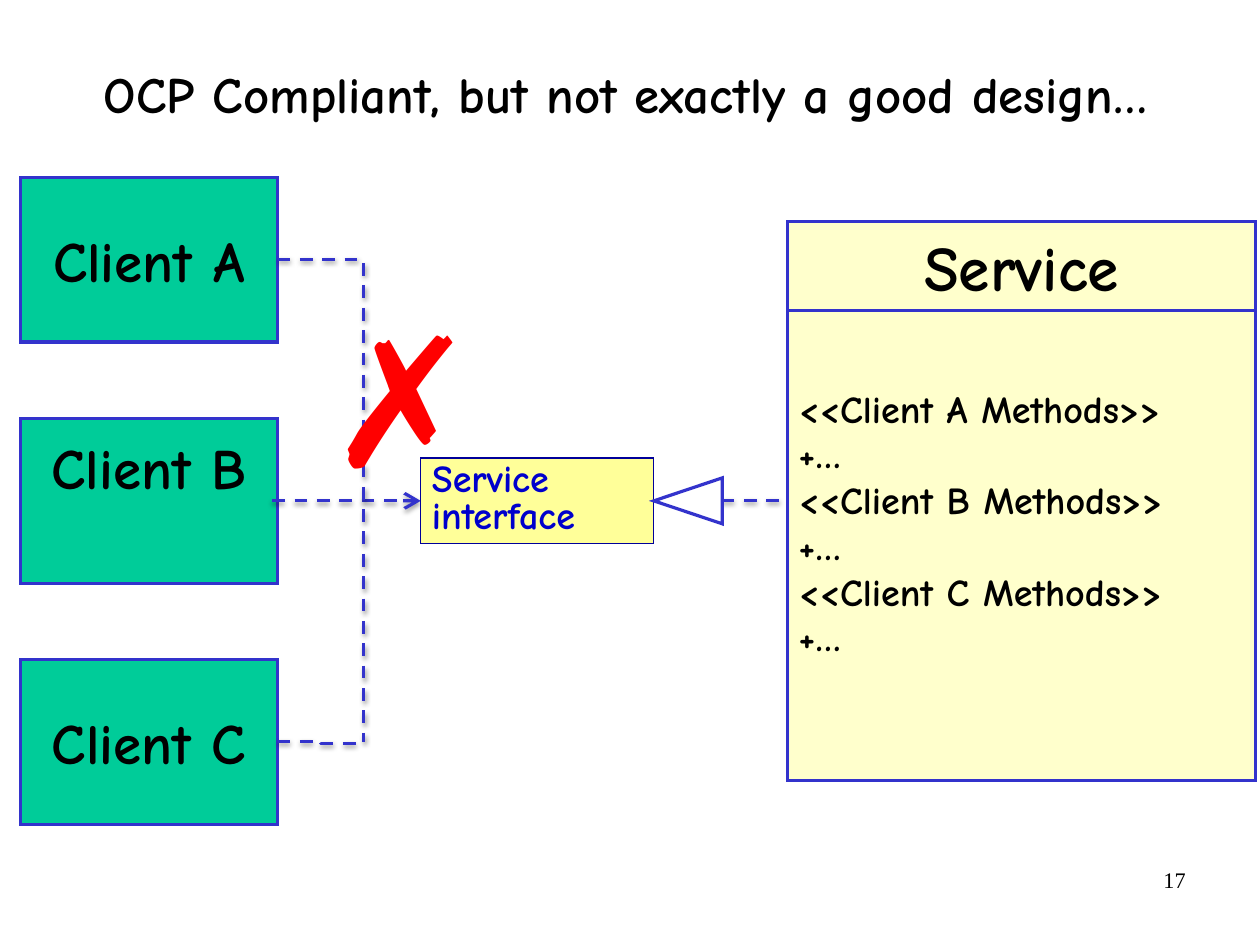
from lxml.etree import SubElement
from pptx import Presentation
from pptx.dml.color import RGBColor
from pptx.enum.dml import MSO_LINE
from pptx.enum.shapes import MSO_CONNECTOR, MSO_SHAPE
from pptx.enum.text import MSO_ANCHOR, PP_ALIGN
from pptx.oxml.ns import qn
from pptx.util import Cm, Pt

COLORS = {"black": "000000", "white": "FFFFFF", "blue": "3333CC", "navy": "000099",
          "ink": "0000CC", "green": "00CC99", "cream": "FFFFCC", "yellow": "FFFF99", "red": "FF0000"}
TEXT = {"size": 36, "name": "Comic Neue", "bold": True, "color": "black",
        "alignment": PP_ALIGN.CENTER, "line_spacing": 1.0,
        "anchor": MSO_ANCHOR.MIDDLE, "bottom": 0.13}


def write(shape, lines, **changes):
    style = TEXT | changes
    frame = shape.text_frame
    frame.word_wrap = True
    frame.vertical_anchor = style["anchor"]
    frame.margin_bottom = Cm(style["bottom"])
    frame.text = "\n".join(lines)
    for para in frame.paragraphs:
        for name in ("alignment", "line_spacing"):
            setattr(para, name, style[name])
        for span in para.runs:
            span.font.size = Pt(style["size"])
            for name in ("name", "bold"):
                setattr(span.font, name, style[name])
            span.font.color.rgb = RGBColor.from_string(COLORS[style["color"]])


def add_box(kind, place, fill, line="blue", width=2):
    box = page.shapes.add_shape(kind, *map(Cm, place))
    box.shadow.inherit = False
    box.fill.solid()
    box.fill.fore_color.rgb = RGBColor.from_string(COLORS[fill])
    box.line.color.rgb = RGBColor.from_string(COLORS[line])
    box.line.width = Pt(width)
    SubElement(box._element.spPr.find(qn("a:ln")), qn("a:miter"), lim="800000")
    return box


deck = Presentation()
deck.slide_width, deck.slide_height = Cm(28), Cm(21)
page = deck.slides.add_slide(deck.slide_layouts[5])

title = page.shapes.title
title.left, title.top, title.width, title.height = map(Cm, (0.45, 0.43, 26.92, 3.48))
for side in ("left", "top", "right"):
    setattr(title.text_frame, f"margin_{side}", 0)
write(title, ["OCP Compliant, but not exactly a good design…"], size=32, line_spacing=0.88, bottom=0)

for row, (client, bottom) in enumerate([("A", 0.13), ("B", 1.65), ("C", 0.13)]):
    client_box = add_box(MSO_SHAPE.RECTANGLE, (0.45, 3.94 + row * 5.36, 5.72, 3.66), "green")
    write(client_box, [f"Client {client}"], bottom=bottom)

methods = [line for client in "ABC" for line in (f"<<Client {client} Methods>>", "+…")]
methods_box = add_box(MSO_SHAPE.RECTANGLE, (17.5, 6.9, 10.41, 10.44), "cream")
write(methods_box, methods, size=24, alignment=PP_ALIGN.LEFT, bottom=1.15)
service_box = add_box(MSO_SHAPE.RECTANGLE, (17.5, 4.92, 10.41, 1.98), "cream")
write(service_box, ["Service"], size=40)

links = [("line", (6.05, 11.13, 9.35, 11.13), True),
         ("bentConnector2", (6.17, 5.77, 8.08, 16.48), False),
         ("bentConnector3", (6.17, 16.48, 8.08, 16.52), False),
         ("line", (15.54, 11.13, 17.5, 11.13), False)]
for preset, ends, has_arrow in links:
    kind = MSO_CONNECTOR.STRAIGHT if preset == "line" else MSO_CONNECTOR.ELBOW
    link = page.shapes.add_connector(kind, *map(Cm, ends))
    link.line.color.rgb = RGBColor.from_string(COLORS["blue"])
    link.line.width = Pt(2)
    link.line.dash_style = MSO_LINE.DASH
    properties = link._element.spPr
    properties.find(qn("a:prstGeom")).set("prst", preset)
    if has_arrow:
        SubElement(properties.find(qn("a:ln")), qn("a:tailEnd"), type="arrow", w="lg", len="lg")
    effects = SubElement(properties, qn("a:effectLst"))
    shadow = SubElement(effects, qn("a:outerShdw"), blurRad=str(Pt(3.1)), dist=str(Pt(1.6)),
                        dir="5400000", rotWithShape="0")
    shade = SubElement(shadow, qn("a:srgbClr"), val=COLORS["black"])
    SubElement(shade, qn("a:alpha"), val="38000")

interface_box = add_box(MSO_SHAPE.RECTANGLE, (9.35, 10.18, 5.18, 1.9), "yellow", "navy", 0.75)
write(interface_box, ["Service interface"], size=24, color="ink", alignment=PP_ALIGN.LEFT,
      line_spacing=0.8, anchor=MSO_ANCHOR.TOP)

triangle = add_box(MSO_SHAPE.ISOSCELES_TRIANGLE, (14.78, 10.37, 1.02, 1.52), "white")
triangle.rotation = 270

cross = page.shapes.add_textbox(*map(Cm, (7.49, 5.97, 4.39, 5.18)))
write(cross, ["✗"], size=115, name="Times New Roman", color="red",
      alignment=PP_ALIGN.LEFT, anchor=MSO_ANCHOR.TOP)

page_number = page.shapes.add_textbox(*map(Cm, (20.07, 19.12, 6.53, 1.45)))
write(page_number, ["17"], size=14, name="Times New Roman", bold=False,
      alignment=PP_ALIGN.RIGHT, anchor=MSO_ANCHOR.TOP)

deck.save("out.pptx")
